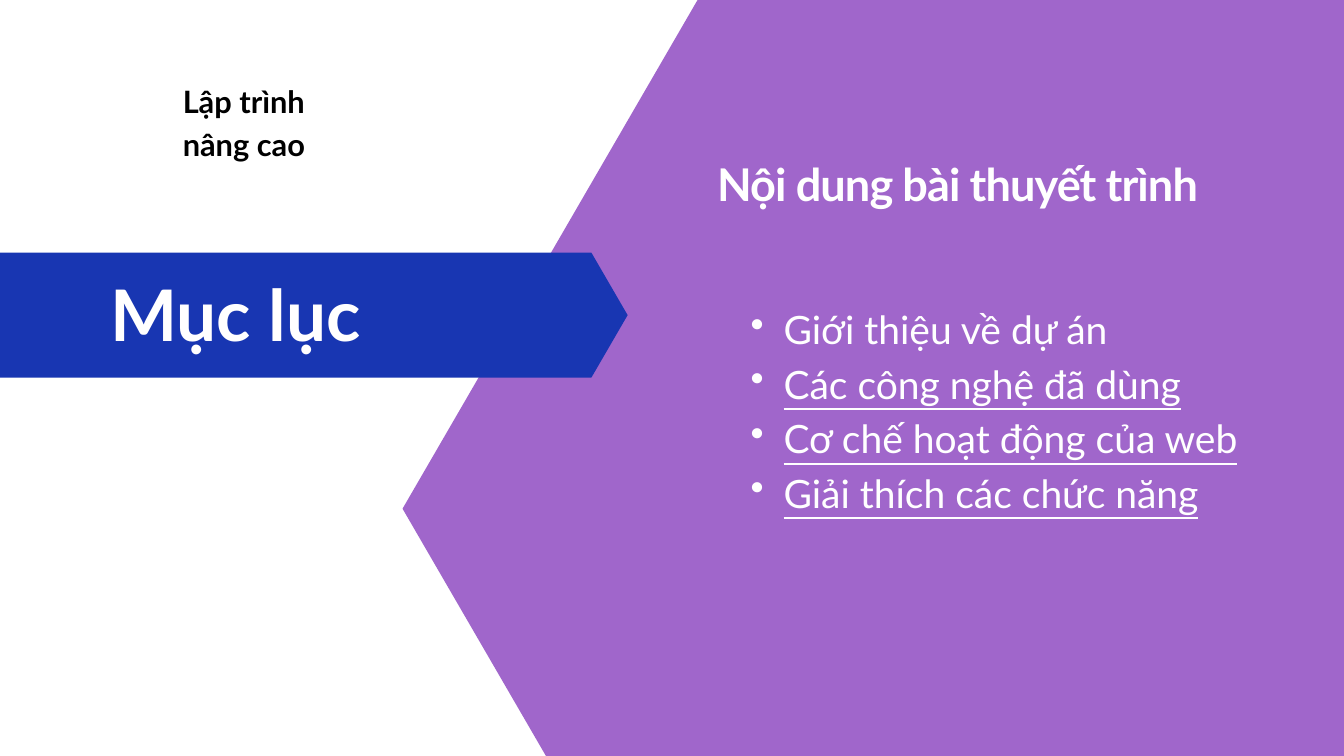
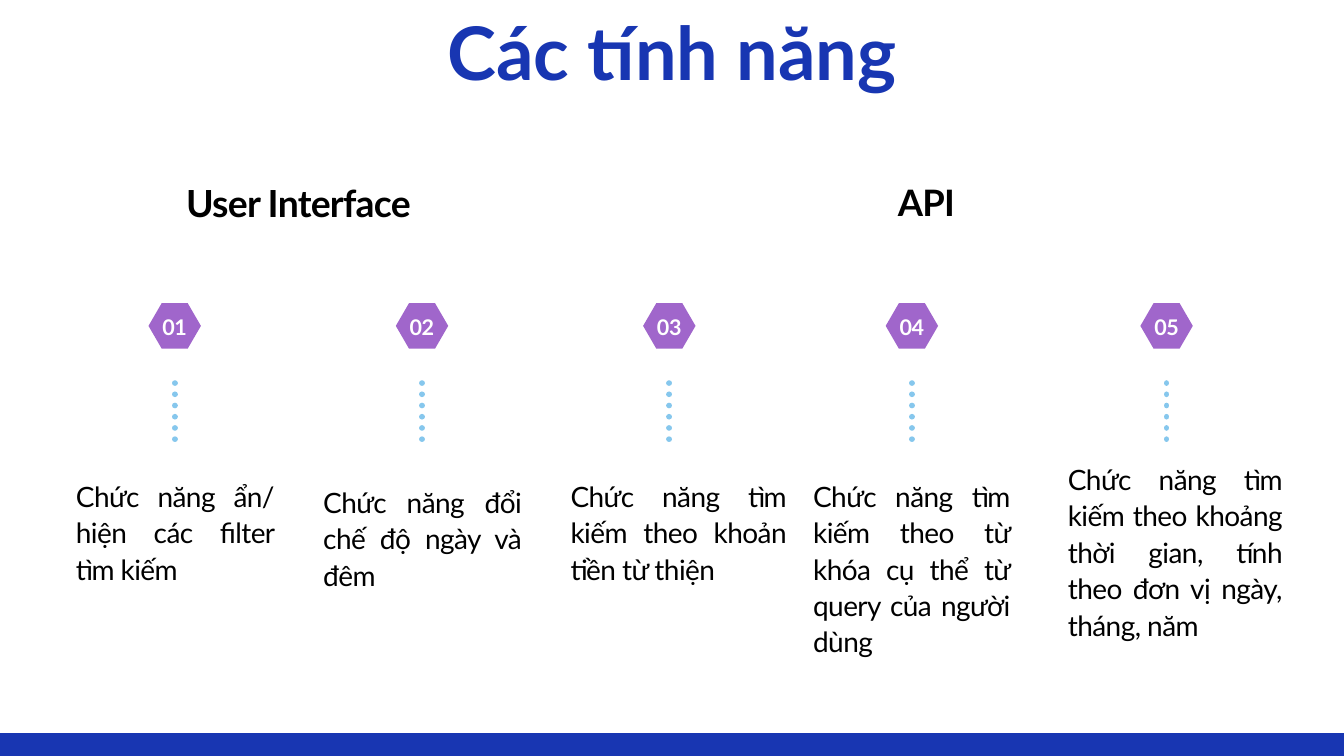
from dataclasses import dataclass

import pptx
import pptx.dml.color
import pptx.enum.dml
import pptx.enum.shapes
import pptx.enum.text
import pptx.oxml
import pptx.oxml.ns
import pptx.util
from pptx.util import Inches

# Shared look
FONT = "Lato"
BLUE, PURPLE, SKY = "1836B2", "A066CB", "86C7ED"
BLACK, WHITE = "000000", "FFFFFF"
HEXAGON_SLANT = 0.29

SHAPE = pptx.enum.shapes.MSO_SHAPE
ALIGN = pptx.enum.text.PP_ALIGN
LEFT, CENTER, JUSTIFY = ALIGN.LEFT, ALIGN.CENTER, ALIGN.JUSTIFY


@dataclass(frozen=True)
class Box:
    left: float
    top: float
    width: float
    height: float


@dataclass(frozen=True)
class Style:
    size: float
    leading: float
    color: str = BLACK
    bold: bool = True
    align: ALIGN = LEFT
    tracking: float = 0


@dataclass(frozen=True)
class Feature:
    center: float
    text: str
    top: float
    width: float
    height: float


COURSE = Style(33, 46.2)
CONTENTS_HEADING = Style(48.3, 62.8, WHITE, align=JUSTIFY, tracking=-1)
CONTENTS_ITEM = Style(41.8, 58.5, WHITE, bold=False, align=JUSTIFY)
NUMBER = Style(23.1, 32.4, WHITE, align=CENTER, tracking=-0.5)
FEATURE_TEXT = Style(30, 39, bold=False, align=JUSTIFY, tracking=-0.6)


# Helpers
def rgb(color: str) -> pptx.dml.color.RGBColor:
    return pptx.dml.color.RGBColor.from_string(color)


def place(shape, box: Box) -> None:
    shape.left, shape.top = Inches(box.left), Inches(box.top)
    shape.width, shape.height = Inches(box.width), Inches(box.height)


def write(shape, text: str, style: Style) -> None:
    tf = shape.text_frame
    tf.text = text
    tf.word_wrap = True
    tf.auto_size = pptx.enum.text.MSO_AUTO_SIZE.SHAPE_TO_FIT_TEXT
    tf.vertical_anchor = pptx.enum.text.MSO_ANCHOR.TOP
    tf.margin_left = tf.margin_right = tf.margin_top = tf.margin_bottom = 0
    for p in tf.paragraphs:
        p.alignment = style.align
        p.line_spacing = pptx.util.Pt(style.leading)
        p.space_before = p.space_after = pptx.util.Pt(0)
        for r in p.runs:
            r.font.name = FONT
            r.font.size = pptx.util.Pt(style.size)
            r.font.bold = style.bold
            r.font.color.rgb = rgb(style.color)
            if style.tracking:
                r._r.get_or_add_rPr().set("spc", str(round(style.tracking * 100)))


def add_text(s, box: Box, text: str, style: Style):
    sp = s.shapes.add_textbox(0, 0, 0, 0)
    write(sp, text, style)
    place(sp, box)
    return sp


def add_title(s, box: Box, text: str, style: Style) -> None:
    title = s.shapes.title
    write(title, text, style)
    place(title, box)
    s.shapes.element.append(title.element)  # bring to front


def add_block(s, kind: SHAPE, box: Box, color: str) -> None:
    sp = s.shapes.add_shape(kind, 0, 0, 0, 0)
    place(sp, box)
    sp.shadow.inherit = False
    sp.fill.solid()
    sp.fill.fore_color.rgb = rgb(color)
    sp.line.fill.background()
    if kind == SHAPE.HEXAGON:
        sp.adjustments[0] = HEXAGON_SLANT


def add_dots(s, x: float, top: float, bottom: float) -> None:
    line = s.shapes.add_connector(
        pptx.enum.shapes.MSO_CONNECTOR.STRAIGHT,
        Inches(x), Inches(top), Inches(x), Inches(bottom))
    line.line.color.rgb = rgb(SKY)
    line.line.width = pptx.util.Pt(6)
    line.line.dash_style = pptx.enum.dml.MSO_LINE.ROUND_DOT
    properties = line.element.spPr
    properties.find(pptx.oxml.ns.qn("a:ln")).set("cap", "rnd")
    properties.append(pptx.oxml.parse_xml(
        f"<a:effectLst {pptx.oxml.ns.nsdecls('a')}/>"))


def add_bullets(tf) -> None:
    for p in tf.paragraphs:
        p.level = 1
        properties = p._p.get_or_add_pPr()
        properties.set("marL", str(Inches(0.99)))
        properties.set("indent", str(Inches(-0.49)))
        properties.append(pptx.oxml.parse_xml(
            f'<a:buChar {pptx.oxml.ns.nsdecls("a")} char="•"/>'))


# Slide 1: contents
def build_contents(s) -> None:
    add_block(s, SHAPE.HEXAGON, Box(5.99, 0, 18.82, 15.14), PURPLE)
    add_text(s, Box(2.72, 1.14, 3.27, 1.24), "Lập trình\nnâng cao", COURSE)
    add_text(s, Box(10.67, 2.26, 8.2, 0.84), "Nội dung bài thuyết trình",
             CONTENTS_HEADING)

    items = ["Giới thiệu về dự án", "Các công nghệ đã dùng",
             "Cơ chế hoạt động của web", "Giải thích các chức năng"]
    tf = add_text(s, Box(10.67, 4.43, 8.2, 4.02), "\n".join(items),
                  CONTENTS_ITEM).text_frame
    add_bullets(tf)
    for p in tf.paragraphs[1:]:
        p.runs[0].font.underline = True

    add_block(s, SHAPE.HEXAGON, Box(-0.8, 3.76, 10.14, 1.86), BLUE)
    add_title(s, Box(1.64, 4.13, 6.38, 1.2), "Mục lục", Style(76.2, 83.9, WHITE))


# Slide 2: features
FEATURES = [
    Feature(2.6, "Chức năng ẩn/ hiện các filter tìm kiếm", 7.09, 2.95, 1.61),
    Feature(6.28, "Chức năng đổi chế độ ngày và đêm", 7.18, 2.95, 1.61),
    Feature(9.96, "Chức năng tìm kiếm theo khoản tiền từ thiện",
            7.09, 3.21, 1.61),
    Feature(13.57, "Chức năng tìm kiếm theo từ khóa cụ thể từ query của người dùng",
            7.09, 2.93, 2.7),
    Feature(17.36, "Chức năng tìm kiếm theo khoảng thời gian, tính theo đơn vị "
            "ngày, tháng, năm", 6.84, 3.19, 2.7),
]


def add_feature(s, number: int, feature: Feature) -> None:
    x = feature.center
    add_block(s, SHAPE.HEXAGON, Box(x - 0.39, 4.51, 0.78, 0.68), PURPLE)
    add_text(s, Box(x - 0.22, 4.61, 0.44, 0.43), f"{number:02}", NUMBER)
    add_dots(s, x, 5.7, 6.7)
    add_text(s, Box(x - 1.47, feature.top, feature.width, feature.height),
             feature.text, FEATURE_TEXT)


def build_features(s) -> None:
    add_text(s, Box(2.38, 2.62, 4.12, 0.7), "User Interface",
             Style(40, 52, align=CENTER, tracking=-0.8))
    add_text(s, Box(13.04, 2.63, 1.49, 0.67), "API",
             Style(39, 50.7, align=CENTER, tracking=-0.8))
    for number, feature in enumerate(FEATURES, 1):
        add_feature(s, number, feature)
    add_block(s, SHAPE.RECTANGLE, Box(-0.2, 10.91, 20.39, 0.55), BLUE)
    add_title(s, Box(2.06, 0.21, 15.88, 1.25), "Các tính năng",
              Style(79.2, 87.2, BLUE, align=CENTER))


def main() -> None:
    prs = pptx.Presentation()
    prs.slide_width, prs.slide_height = Inches(20), Inches(11.25)
    title_only = prs.slide_layouts.get_by_name("Title Only")
    for build in (build_contents, build_features):
        build(prs.slides.add_slide(title_only))
    prs.save("out.pptx")


if __name__ == "__main__":
    main()
